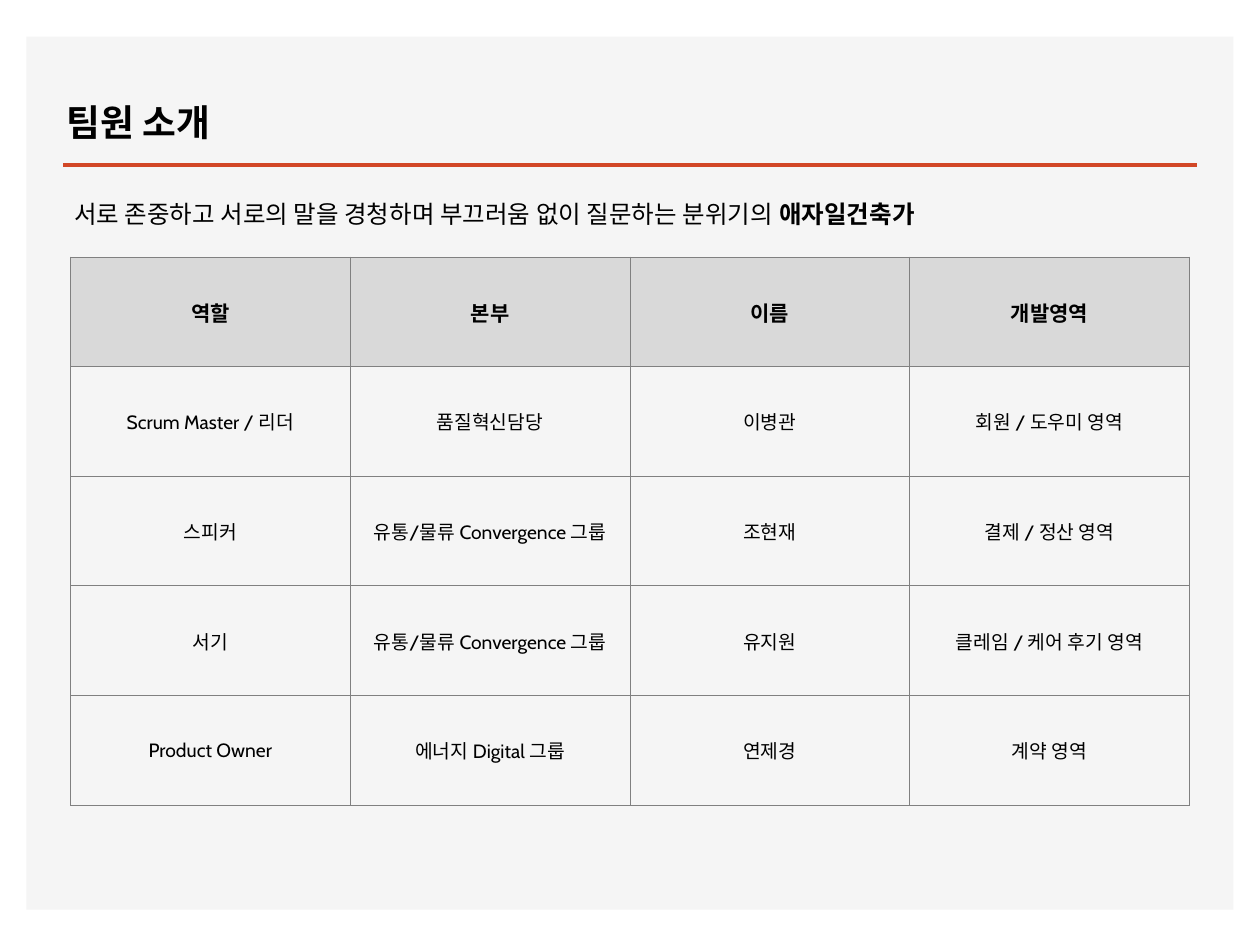
from typing import NamedTuple

from pptx import Presentation
from pptx.dml.color import RGBColor as RGB
from pptx.enum.shapes import MSO_CONNECTOR as LINE, MSO_SHAPE as SHAPE
from pptx.enum.text import MSO_ANCHOR as ANCHOR, MSO_AUTO_SIZE as FIT, PP_ALIGN as ALIGN
from pptx.oxml.ns import qn
from pptx.util import Inches, Pt
from lxml.etree import SubElement as Sub

COLORS = {
    "panel": "F5F5F5",
    "rule": "D24726",
    "text": "000000",
    "head": "D9D9D9",
    "grid": "808080",
}
KOREAN, LATIN = "Noto Sans CJK KR", "Cabin"


class Box(NamedTuple):
    left: float
    top: float
    width: float
    height: float

    def place(self) -> list:
        return [Inches(v) for v in self]


class Style(NamedTuple):
    size: float
    face: str
    bold: bool = False


class Member(NamedTuple):
    role: str
    unit: str
    name: str
    area: str


HEAD = Member("역할", "본부", "이름", "개발영역")
TEAM = [
    Member("Scrum Master / 리더", "품질혁신담당", "이병관", "회원 / 도우미 영역"),
    Member("스피커", "유통/물류 Convergence 그룹", "조현재", "결제 / 정산 영역"),
    Member("서기", "유통/물류 Convergence 그룹", "유지원", "클레임 / 케어 후기 영역"),
    Member("Product Owner", "에너지 Digital 그룹", "연제경", "계약 영역"),
]


def color(key: str) -> RGB:
    return RGB.from_string(COLORS[key])


def format_text(para, style: Style, align=ALIGN.LEFT) -> None:
    font = para.font
    font.size, font.name, font.bold = Pt(style.size), style.face, style.bold
    font.color.rgb = color("text")
    # Korean glyphs take the East Asian face
    Sub(font._element, qn("a:ea"), typeface=KOREAN)
    para.alignment = align


def add_panel(slide, box: Box) -> None:
    panel = slide.shapes.add_shape(SHAPE.RECTANGLE, *box.place())
    panel.shadow.inherit = False
    panel.fill.solid()
    panel.fill.fore_color.rgb = color("panel")
    panel.line.fill.background()
    # Send behind the title
    slide.shapes._spTree.insert(2, panel._element)


def add_rule(slide, left: float, right: float, y: float) -> None:
    rule = slide.shapes.add_connector(
        LINE.STRAIGHT, Inches(left), Inches(y), Inches(right), Inches(y))
    rule.line.color.rgb = color("rule")
    rule.line.width = Pt(2)
    Sub(rule._element.spPr, qn("a:effectLst"))


def set_title(slide, box: Box, text: str) -> None:
    title = slide.shapes.title
    title.left, title.top, title.width, title.height = box.place()
    frame = title.text_frame
    frame.text = text
    frame.auto_size = FIT.NONE
    frame.vertical_anchor = ANCHOR.BOTTOM
    format_text(frame.paragraphs[0], Style(21, KOREAN, True))


def add_motto(slide, box: Box, text: str, team: str) -> None:
    frame = slide.shapes.add_textbox(*box.place()).text_frame
    frame.word_wrap = True
    para = frame.paragraphs[0]
    para.space_before, para.space_after = Pt(7.5), Pt(9)
    format_text(para, Style(14, KOREAN))
    para.add_run().text = text
    run = para.add_run()
    run.text = team
    run.font.bold = True


def add_borders(cell) -> None:
    props = cell._tc.get_or_add_tcPr()
    for side in ("lnL", "lnR", "lnT", "lnB"):
        line = Sub(props, qn(f"a:{side}"), w=str(Pt(0.5)))
        fill = Sub(line, qn("a:solidFill"))
        Sub(fill, qn("a:srgbClr"), val=COLORS["grid"])


def fill_cell(cell, text: str, head: bool) -> None:
    cell.text = text
    cell.vertical_anchor = ANCHOR.MIDDLE
    style = Style(12, LATIN, True) if head else Style(11, LATIN)
    format_text(cell.text_frame.paragraphs[0], style, ALIGN.CENTER)
    add_borders(cell)
    if head:
        cell.fill.solid()
        cell.fill.fore_color.rgb = color("head")
    else:
        cell.fill.background()


def add_team(slide, box: Box, rows: list[Member]) -> None:
    table = slide.shapes.add_table(len(rows), len(HEAD), *box.place()).table
    table.first_row = table.horz_banding = False
    for r, row in enumerate(rows):
        for c, text in enumerate(row):
            fill_cell(table.cell(r, c), text, head=r == 0)


def main() -> None:
    deck = Presentation()
    deck.slide_width, deck.slide_height = Inches(10), Inches(7.5)
    slide = deck.slides.add_slide(deck.slide_layouts[5])

    # Frame and heading
    add_panel(slide, Box(0.21, 0.29, 9.58, 6.93))
    set_title(slide, Box(0.43, 0.49, 5.64, 0.7), "팀원 소개")
    add_rule(slide, 0.5, 9.5, 1.31)

    # Motto and team table
    add_motto(slide, Box(0.49, 1.53, 8.73, 0.46),
              "서로 존중하고 서로의 말을 경청하며 부끄러움 없이 질문하는 분위기의 ",
              "애자일건축가")
    add_team(slide, Box(0.56, 2.04, 8.88, 4.35), [HEAD, *TEAM])

    deck.save("out.pptx")


if __name__ == "__main__":
    main()
